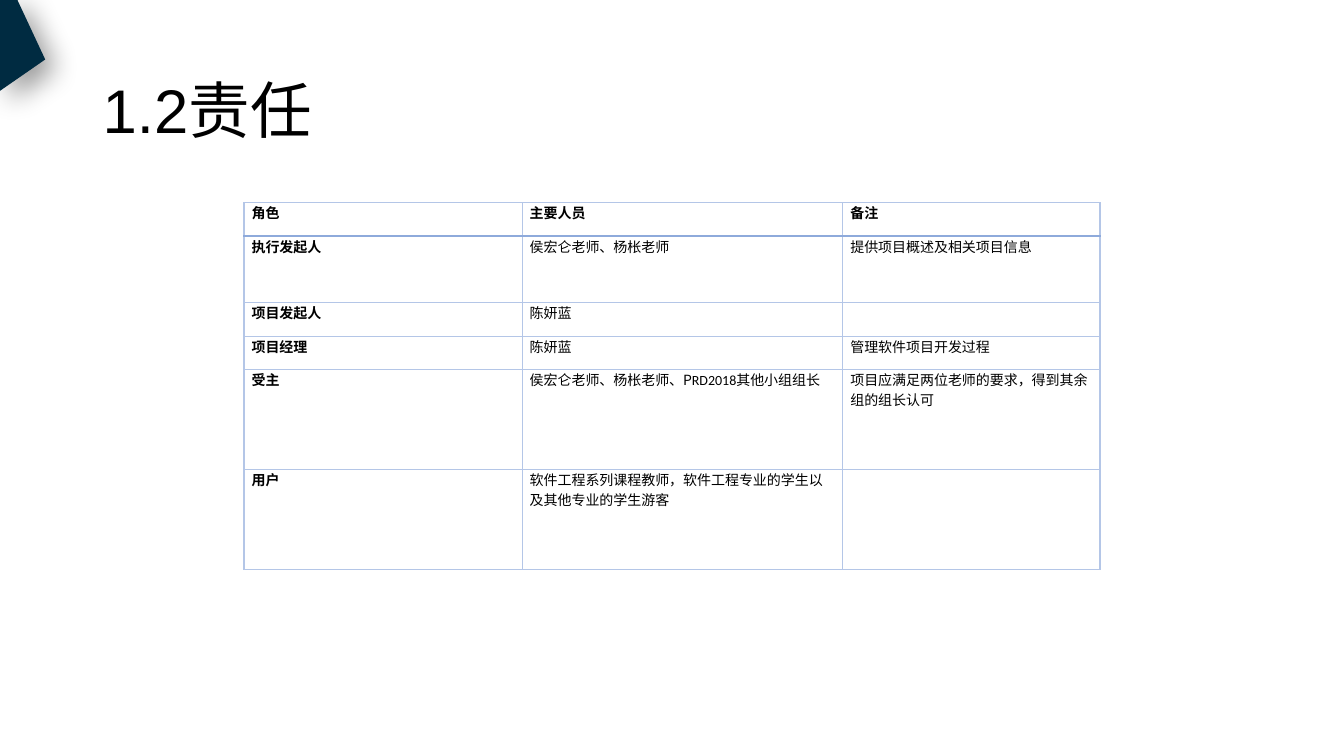
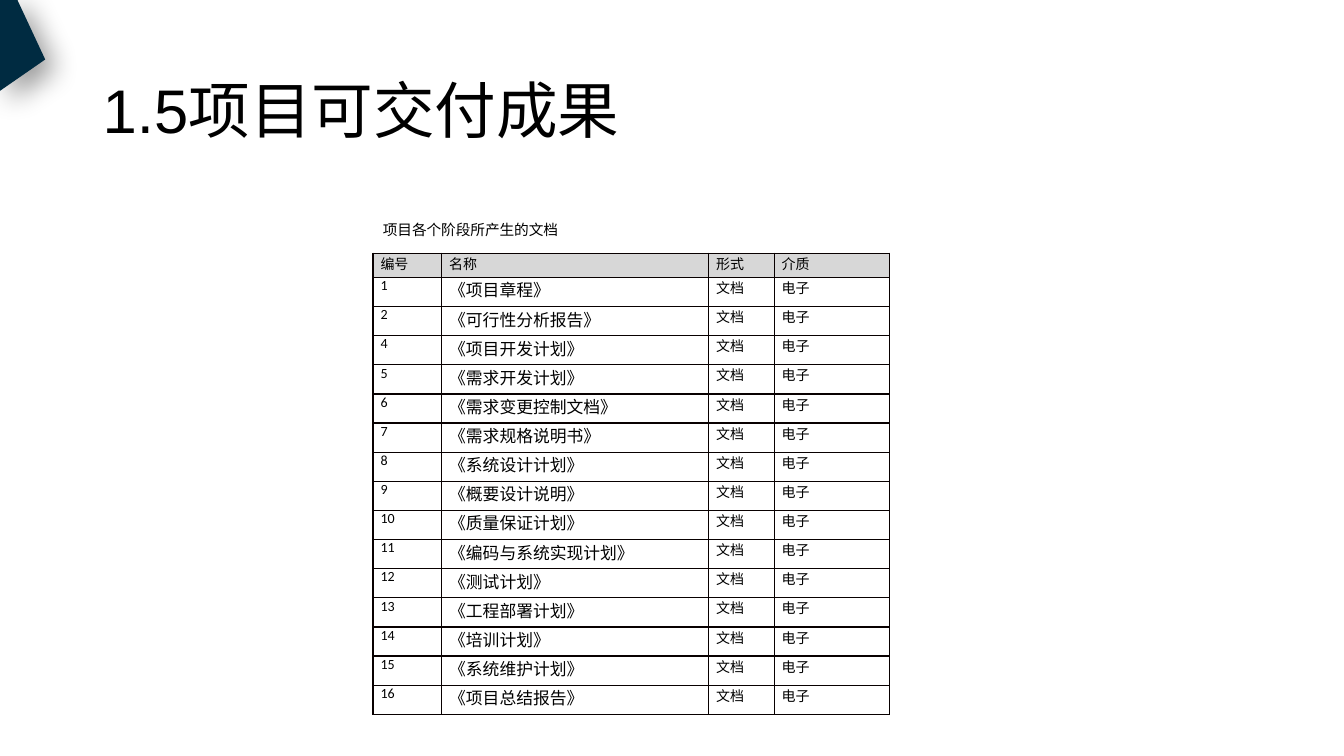
from dataclasses import dataclass

from lxml.etree import SubElement
from pptx import Presentation
from pptx.dml.color import RGBColor
from pptx.enum.text import MSO_ANCHOR, MSO_AUTO_SIZE
from pptx.oxml.ns import qn
from pptx.util import Cm, Pt

ROLES = [
    ("角色", "主要人员", "备注"),
    ("执行发起人", "侯宏仑老师、杨枨老师", "提供项目概述及相关项目信息"),
    ("项目发起人", "陈妍蓝", ""),
    ("项目经理", "陈妍蓝", "管理软件项目开发过程"),
    ("受主",
     (("侯宏仑老师、杨枨老师、P", "body"), ("RD2018", "latin"), ("其他小组组长", "body")),
     "项目应满足两位老师的要求，得到其余组的组长认可"),
    ("用户", "软件工程系列课程教师，软件工程专业的学生以及其他专业的学生游客", ""),
]
DOCUMENTS = [
    (1, "项目章程"), (2, "可行性分析报告"), (4, "项目开发计划"), (5, "需求开发计划"),
    (6, "需求变更控制文档"), (7, "需求规格说明书"), (8, "系统设计计划"),
    (9, "概要设计说明"), (10, "质量保证计划"), (11, "编码与系统实现计划"),
    (12, "测试计划"), (13, "工程部署计划"), (14, "培训计划"), (15, "系统维护计划"),
    (16, "项目总结报告"),
]
DELIVERABLES = [("编号", "名称", "形式", "介质")] + [
    (str(number), f"《{name}》", "文档", "电子") for number, name in DOCUMENTS
]
CAPTION = "项目各个阶段所产生的文档"
CORNER = [(0.43, -0.02), (0, -0.02), (0, 2.29), (1.14, 1.5)]


@dataclass(frozen=True)
class Theme:
    ink: str = "000000"
    corner: str = "002B41"
    grid: str = "B4C6E7"
    rule: str = "8EAADB"
    dark_grid: str = "080000"
    header_fill: str = "D7D7D7"
    cjk: str = "Noto Sans CJK SC"

    def text(self, style):
        return {
            "title": {"name": "Arial", "size": Pt(44), "bold": False},
            "caption": {"name": "Calibri", "size": Pt(10.5), "bold": False},
            "body": {"name": self.cjk, "size": Pt(10), "bold": False},
            "strong": {"name": self.cjk, "size": Pt(10), "bold": True},
            "latin": {"name": "Calibri", "size": Pt(10), "bold": False},
            "document": {"name": self.cjk, "size": Pt(12), "bold": False},
        }[style]


THEME = Theme()
ROLE_TABLE = {
    "rows": ROLES, "at": (6.15, 5.11), "widths": (7.01, 8.08, 6.48),
    "heights": [0.84 * lines for lines in (1, 2, 1, 1, 3, 3)],
    "header": "strong", "columns": ("strong", "body", "body"),
    "grid": (THEME.grid, 1), "rule": (THEME.rule, 1.5), "header_fill": None,
}
DOCUMENT_TABLE = {
    "rows": DELIVERABLES, "at": (9.4, 6.38), "widths": (1.73, 6.73, 1.65, 2.9),
    "heights": [0.61] + [11.02 / len(DOCUMENTS)] * len(DOCUMENTS),
    "header": "body", "columns": ("latin", "document", "body", "body"),
    "grid": (THEME.dark_grid, 1), "rule": (THEME.dark_grid, 1),
    "header_fill": THEME.header_fill,
}


def apply(target, values):
    for name, value in values.items():
        setattr(target, name, value)


def write(para, content, style):
    spans = ((content, style),) if isinstance(content, str) else content
    apply(para.font, THEME.text(style))
    for text, span_style in spans:
        if not text:
            continue
        span = para.add_run()
        span.text = text
        apply(span.font, THEME.text(span_style))
        span.font.color.rgb = RGBColor.from_string(THEME.ink)
        SubElement(span.font._element, qn("a:ea"), typeface=THEME.cjk)


def add_text(page, at, content, style, frame_format, para_format):
    box = page.shapes.add_textbox(*map(Cm, at))
    apply(box.text_frame, {"word_wrap": True, **frame_format})
    para = box.text_frame.paragraphs[0]
    apply(para, para_format)
    write(para, content, style)


def add_corner(page):
    points = [(Cm(x), Cm(y)) for x, y in CORNER]
    builder = page.shapes.build_freeform(*points[0])
    builder.add_line_segments(points[1:], close=True)
    corner = builder.convert_to_shape()
    corner.fill.solid()
    corner.fill.fore_color.rgb = RGBColor.from_string(THEME.corner)
    corner.line.fill.background()
    corner.shadow.inherit = False
    effects = corner._element.spPr.find(qn("a:effectLst"))
    shadow = SubElement(effects, qn("a:outerShdw"), blurRad=str(Pt(20)), dist=str(Pt(10)),
                        dir="2700000", algn="tl", rotWithShape="0")
    color = SubElement(shadow, qn("a:srgbClr"), val=THEME.ink)
    SubElement(color, qn("a:alpha"), val="40000")


def add_border(cell, side, color, width):
    line = SubElement(cell._tc.get_or_add_tcPr(), qn(f"a:ln{side}"), w=str(Pt(width)))
    fill = SubElement(line, qn("a:solidFill"))
    SubElement(fill, qn("a:srgbClr"), val=color)


def add_grid(page, layout):
    rows, widths, heights = layout["rows"], layout["widths"], layout["heights"]
    size = (sum(widths), sum(heights))
    table = page.shapes.add_table(
        len(rows), len(widths), *map(Cm, layout["at"] + size)).table
    apply(table, {"first_row": False, "horz_banding": False})
    for column, width in zip(table.columns, widths):
        column.width = Cm(width)
    for row, height in zip(table.rows, heights):
        row.height = Cm(height)
    margins = {"margin_left": Cm(0.19), "margin_right": Cm(0.19),
               "margin_top": 0, "margin_bottom": 0}
    for row_index, values in enumerate(rows):
        for column_index, content in enumerate(values):
            cell = table.cell(row_index, column_index)
            apply(cell, margins)
            for side in "LRTB":
                under_header = (row_index, side) in ((0, "B"), (1, "T"))
                add_border(cell, side, *layout["rule" if under_header else "grid"])
            if row_index == 0 and layout["header_fill"]:
                cell.fill.solid()
                cell.fill.fore_color.rgb = RGBColor.from_string(layout["header_fill"])
            else:
                cell.fill.background()
            style = layout["columns"][column_index] if row_index else layout["header"]
            write(cell.text_frame.paragraphs[0], content, style)


def add_page(deck, title, layout):
    page = deck.slides.add_slide(deck.slide_layouts[6])
    add_text(page, (2.34, 1.02, 29.21, 3.68), title, "title",
             {"vertical_anchor": MSO_ANCHOR.MIDDLE}, {"line_spacing": 0.9})
    add_corner(page)
    add_grid(page, layout)
    return page


def main():
    deck = Presentation()
    apply(deck, {"slide_width": Cm(33.87), "slide_height": Cm(19.05)})
    add_page(deck, "1.2责任", ROLE_TABLE)
    page = add_page(deck, "1.5项目可交付成果", DOCUMENT_TABLE)
    add_text(page, (9.4, 5.44, 14.5, 0.71), CAPTION, "caption",
             {"auto_size": MSO_AUTO_SIZE.SHAPE_TO_FIT_TEXT}, {})
    deck.save("out.pptx")


if __name__ == "__main__":
    main()
